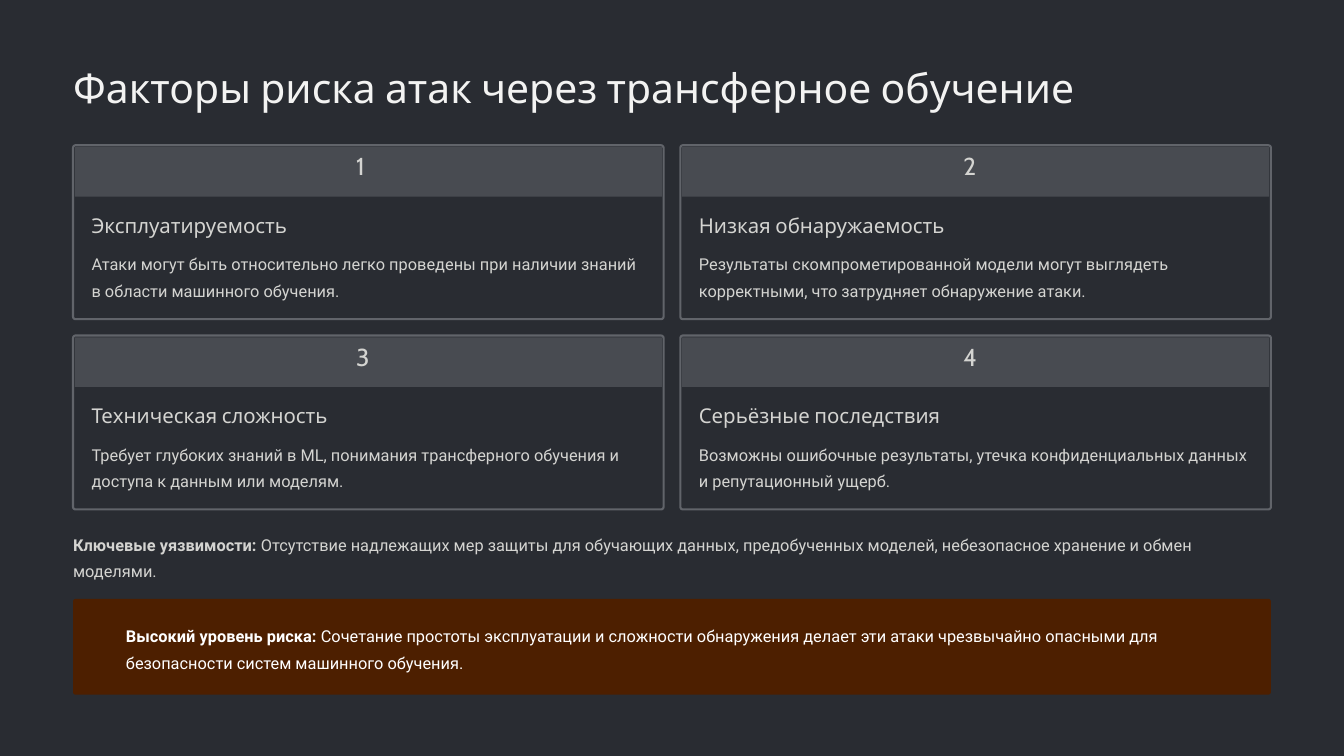
from pptx import Presentation
from pptx.dml.color import RGBColor
from pptx.enum.shapes import MSO_SHAPE as Shape
from pptx.enum.text import MSO_ANCHOR as Anchor, MSO_AUTO_SIZE as AutoSize, PP_ALIGN as Align
from pptx.util import Inches, Pt

WIDTH, HEIGHT = 16, 9
MARGIN = 0.87
CONTENT = WIDTH - 2 * MARGIN
GAP = 0.2
CARD_TOP, CARD_HEIGHT, ROW_STEP = 1.73, 2.07, 2.265
COLUMNS = 2
CARD_WIDTH = (CONTENT - GAP) / COLUMNS

DARK, BAND, BORDER, ALERT = "292C32", "484B51", "61646A", "4D1F00"
LIGHT, SOFT, WHITE = "F3F3F2", "D4D4D1", "FFFFFF"

STYLES = {
    "title": {"name": "Cabin", "size": Pt(35), "leading": 43.5},
    "number": {"name": "Cabin", "size": Pt(21), "leading": 21},
    "heading": {"name": "Cabin", "size": Pt(17.5), "leading": 21.5},
    "body": {"name": "Roboto", "size": Pt(14), "leading": 22.5},
}

TITLE = "Факторы риска атак через трансферное обучение"
RISKS = [
    ("Эксплуатируемость",
     "Атаки могут быть относительно легко проведены при наличии знаний "
     "в области машинного обучения."),
    ("Низкая обнаружаемость",
     "Результаты скомпрометированной модели могут выглядеть корректными, "
     "что затрудняет обнаружение атаки."),
    ("Техническая сложность",
     "Требует глубоких знаний в ML, понимания трансферного обучения "
     "и доступа к данным или моделям."),
    ("Серьёзные последствия",
     "Возможны ошибочные результаты, утечка конфиденциальных данных "
     "и репутационный ущерб."),
]
WEAKNESSES = [
    ("Ключевые уязвимости:", True),
    (" Отсутствие надлежащих мер защиты для обучающих данных, предобученных "
     "моделей, небезопасное хранение и обмен моделями.", False),
]
WARNING = [
    ("Высокий уровень риска:", True),
    (" Сочетание простоты эксплуатации и сложности обнаружения делает эти атаки "
     "чрезвычайно опасными для безопасности систем машинного обучения.", False),
]


def color(value):
    """Turn a hex string into a colour."""
    return RGBColor.from_string(value)


def apply(target, values):
    """Set each named attribute of the target."""
    for key, value in values.items():
        setattr(target, key, value)


def write(box, spans, style, ink):
    """Fill a text box with spans given as text and boldness."""
    frame = box.text_frame
    apply(frame, {"word_wrap": True, "auto_size": AutoSize.NONE,
                  "vertical_anchor": Anchor.TOP, "margin_left": 0,
                  "margin_right": 0, "margin_top": 0, "margin_bottom": 0})
    para = frame.paragraphs[0]
    font_values = dict(STYLES[style])
    apply(para, {"alignment": Align.LEFT, "space_before": Pt(0),
                 "line_spacing": Pt(font_values.pop("leading"))})
    for text, bold in spans:
        span = para.add_run()
        span.text = text
        apply(span.font, {**font_values, "bold": bold})
        span.font.color.rgb = color(ink)


def add_text(page, left, top, width, height, spans, style, ink=SOFT):
    """Place a text box on the page."""
    box = page.shapes.add_textbox(*map(Inches, (left, top, width, height)))
    write(box, spans, style, ink)


def add_panel(page, kind, left, top, width, height, fill, line=None, radius=None):
    """Place a filled panel with an optional border and corner radius."""
    panel = page.shapes.add_shape(kind, *map(Inches, (left, top, width, height)))
    panel.shadow.inherit = False
    panel.fill.solid()
    panel.fill.fore_color.rgb = color(fill)
    if radius is not None:
        panel.adjustments[0] = radius
    if line:
        panel.line.color.rgb = color(line)
        panel.line.width = Pt(1.8)
    else:
        panel.line.fill.background()


def add_title(page, left, top, width, height):
    """Place and format the slide title."""
    title = page.shapes.title
    apply(title, {"left": Inches(left), "top": Inches(top),
                  "width": Inches(width), "height": Inches(height)})
    write(title, [(TITLE, False)], "title", LIGHT)


def add_card(page, left, top, width, height, number, heading, body):
    """Draw one numbered risk card."""
    inset, edge = 0.22, 0.02
    inner = width - 2 * inset
    add_panel(page, Shape.ROUNDED_RECTANGLE, left, top, width, height, DARK, BORDER, 0.014)
    add_panel(page, Shape.RECTANGLE, left + edge, top + edge, width - 2 * edge, 0.59, BAND)
    add_text(page, left + width / 2 - 0.145, top + 0.13, 0.29, 0.37,
             [(str(number), False)], "number")
    add_text(page, left + inset, top + 0.8, inner, 0.31, [(heading, False)], "heading")
    add_text(page, left + inset, top + 1.22, inner, 0.62, [(body, False)], "body")


def add_cards(page, left, top):
    """Lay the risk cards out in a grid."""
    for index, (heading, body) in enumerate(RISKS):
        row, column = divmod(index, COLUMNS)
        add_card(page, left + column * (CARD_WIDTH + GAP), top + row * ROW_STEP,
                 CARD_WIDTH, CARD_HEIGHT, index + 1, heading, body)


def add_warning(page, left, top, width, height):
    """Draw the warning banner."""
    add_panel(page, Shape.ROUNDED_RECTANGLE, left, top, width, height, ALERT, radius=0.026)
    add_text(page, left + 0.63, top + 0.25, width - 0.83, 0.62, WARNING, "body", WHITE)


def main():
    """Build and save the deck."""
    deck = Presentation()
    apply(deck, {"slide_width": Inches(WIDTH), "slide_height": Inches(HEIGHT)})
    page = deck.slides.add_slide(deck.slide_layouts.get_by_name("Title Only"))
    page.background.fill.solid()
    page.background.fill.fore_color.rgb = color(DARK)
    add_title(page, MARGIN, 0.72, CONTENT, 0.61)
    add_cards(page, MARGIN, CARD_TOP)
    add_text(page, MARGIN, 6.29, CONTENT, 0.62, WEAKNESSES, "body")
    add_warning(page, MARGIN, 7.13, CONTENT, 1.14)
    deck.save("out.pptx")


if __name__ == "__main__":
    main()
